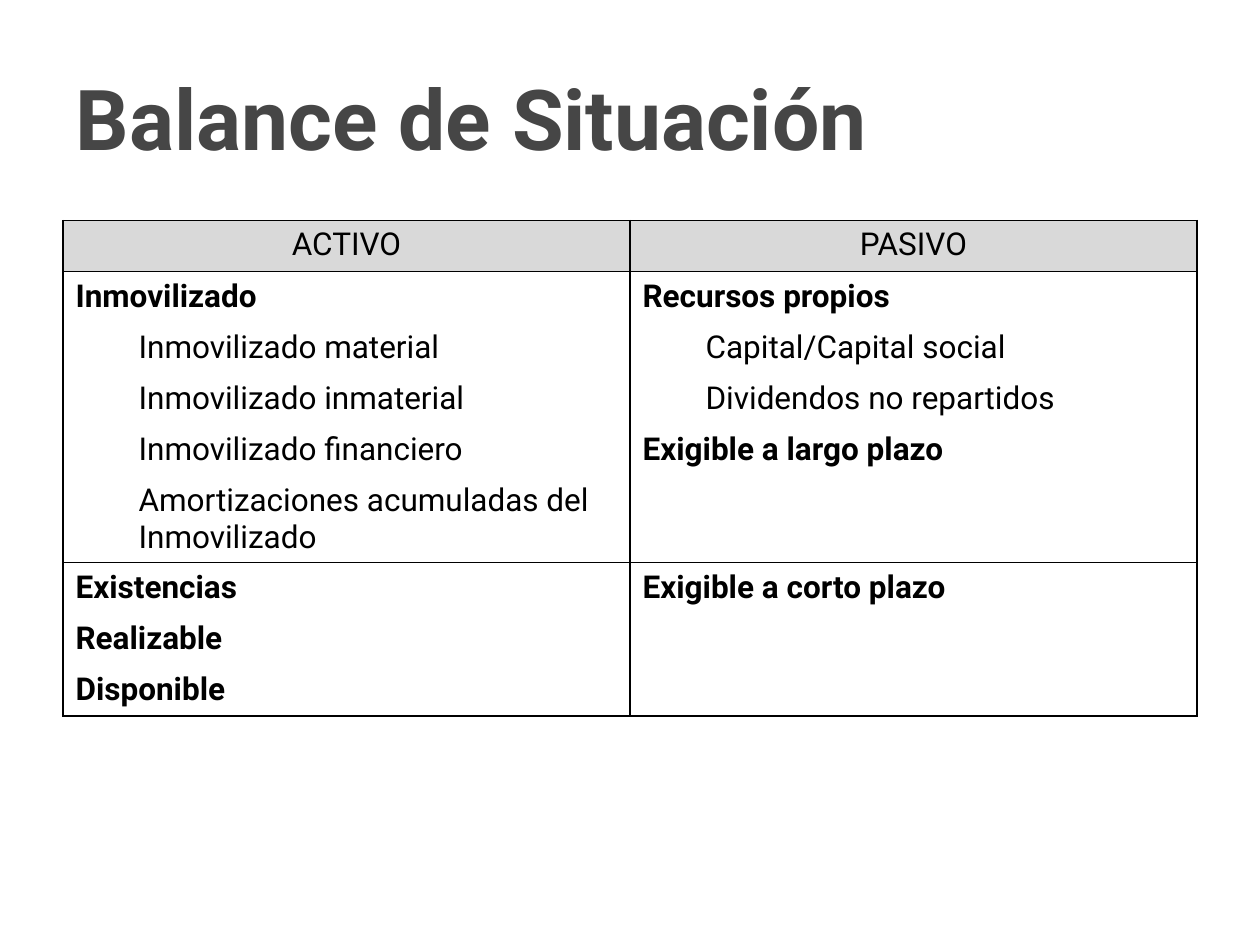
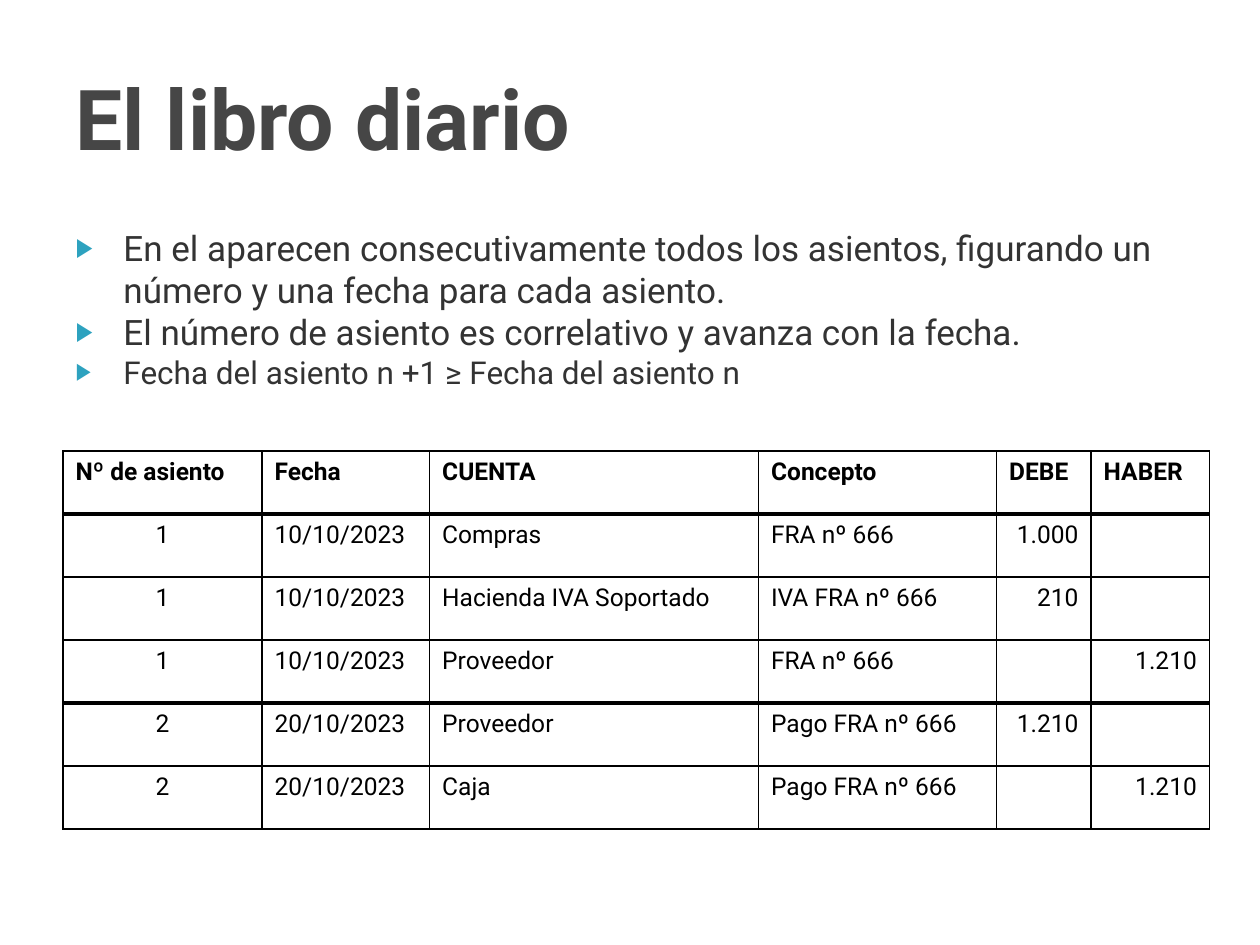
"""Build two accounting slides: the balance sheet and the journal."""
from dataclasses import dataclass
from typing import Optional

from lxml.etree import SubElement
from pptx import Presentation
from pptx.dml.color import RGBColor
from pptx.enum.text import MSO_ANCHOR as Anchor, MSO_AUTO_SIZE as AutoSize, PP_ALIGN as Align
from pptx.oxml.ns import qn
from pptx.util import Inches, Pt

COLORS = {
    "title": "464646",
    "body": "333333",
    "bullet": "2DA2BF",
    "black": "000000",
    "white": "FFFFFF",
    "header": "D9D9D9",
}
FONT = "Roboto"
LEFT, WIDTH, HANGING = 0.5, 9, 0.38
THIN, THICK = 1, 3
TITLE_LAYOUT, CONTENT_LAYOUT = 5, 1


@dataclass(frozen=True)
class Entry:
    text: str = ""
    bold: bool = False
    align: Align = Align.LEFT
    indent: float = 0
    fill: Optional[str] = None
    left: float = THIN
    right: float = THIN
    top: float = THIN
    bottom: float = THIN


@dataclass(frozen=True)
class Grid:
    top: float
    columns: tuple[float, ...]
    height: float
    size: float
    rows: list[list[Entry]]


@dataclass(frozen=True)
class Bullet:
    text: str
    size: float = 20


def write_text(paragraph, text: str, *, size: float, color: str, bold: bool = False,
               align: Align = Align.LEFT, indent: float = 0, hanging: float = 0) -> None:
    paragraph.alignment = align
    paragraph.space_before = Pt(0)
    properties = paragraph._p.get_or_add_pPr()
    properties.set("marL", str(Inches(indent)))
    properties.set("indent", str(-Inches(hanging)))
    font = paragraph.font
    if text:
        run = paragraph.add_run()
        run.text = text
        font = run.font
    font.name, font.size, font.bold = FONT, Pt(size), bold
    font.color.rgb = RGBColor.from_string(COLORS[color])


def place(shape, top: float, height: float) -> None:
    shape.left, shape.top = Inches(LEFT), Inches(top)
    shape.width, shape.height = Inches(WIDTH), Inches(height)
    shape.text_frame.auto_size = AutoSize.NONE


def add_titled_slide(presentation, title: str, layout: int):
    slide = presentation.slides.add_slide(presentation.slide_layouts[layout])
    shape = slide.shapes.title
    place(shape, 0.3, 1.25)
    shape.text_frame.vertical_anchor = Anchor.MIDDLE
    write_text(shape.text_frame.paragraphs[0], title, size=48, color="title", bold=True,
               indent=HANGING, hanging=HANGING)
    return slide


def add_bullets(slide, bullets: list[Bullet]) -> None:
    shape = slide.placeholders[1]
    place(shape, 1.75, 4.95)
    frame = shape.text_frame
    for index, bullet in enumerate(bullets):
        paragraph = frame.add_paragraph() if index else frame.paragraphs[0]
        write_text(paragraph, bullet.text, size=bullet.size, color="body",
                   indent=HANGING, hanging=HANGING)
        properties = paragraph._p.get_or_add_pPr()
        color = SubElement(properties, qn("a:buClr"))
        SubElement(color, qn("a:srgbClr"), val=COLORS["bullet"])
        SubElement(properties, qn("a:buSzPct"), val="75000")
        SubElement(properties, qn("a:buChar"), char="▶")


def set_borders(cell, entry: Entry) -> None:
    properties = cell._tc.get_or_add_tcPr()
    sides = {"a:lnL": entry.left, "a:lnR": entry.right,
             "a:lnT": entry.top, "a:lnB": entry.bottom}
    for tag, width in sides.items():
        line = SubElement(properties, qn(tag), w=str(Pt(width)))
        if width:
            fill = SubElement(line, qn("a:solidFill"))
            SubElement(fill, qn("a:srgbClr"), val=COLORS["black"])
        else:
            SubElement(line, qn("a:noFill"))


def add_grid(slide, grid: Grid) -> None:
    frame = slide.shapes.add_table(len(grid.rows), len(grid.columns), Inches(LEFT),
                                   Inches(grid.top), Inches(sum(grid.columns)),
                                   Inches(grid.height))
    table = frame.table
    table.first_row = table.horz_banding = False
    for column, width in zip(table.columns, grid.columns):
        column.width = Inches(width)
    for row, entries in zip(table.rows, grid.rows):
        for cell, entry in zip(row.cells, entries):
            write_text(cell.text_frame.paragraphs[0], entry.text, size=grid.size,
                       color="black", bold=entry.bold, align=entry.align,
                       indent=entry.indent)
            set_borders(cell, entry)
            if entry.fill:
                cell.fill.solid()
                cell.fill.fore_color.rgb = RGBColor.from_string(COLORS[entry.fill])
            else:
                cell.fill.background()


def balance_rows() -> list[list[Entry]]:
    group, item = {"bold": True}, {"indent": 0.5}
    sections = [
        [(("Inmovilizado", group), ("Recursos propios", group)),
         (("Inmovilizado material", item), ("Capital/Capital social", item)),
         (("Inmovilizado inmaterial", item), ("Dividendos no repartidos", item)),
         (("Inmovilizado financiero", item), ("Exigible a largo plazo", group)),
         (("Amortizaciones acumuladas del Inmovilizado", item), ("", {}))],
        [(("Existencias", group), ("Exigible a corto plazo", group)),
         (("Realizable", group), ("", {})),
         (("Disponible", group), ("", {}))],
    ]
    rows = [[Entry(name, align=Align.CENTER, fill="header") for name in ("ACTIVO", "PASIVO")]]
    for section in sections:
        last = len(section) - 1
        for index, pair in enumerate(section):
            top = THIN if index == 0 else 0
            bottom = THIN if index == last else 0
            rows.append([Entry(text, top=top, bottom=bottom, **style) for text, style in pair])
    return rows


def journal_rows() -> list[list[Entry]]:
    headings = ("Nº de asiento", "Fecha", "CUENTA", "Concepto", "DEBE", "HABER")
    records = [
        ("1", "10/10/2023", "Compras", "FRA nº 666", "1.000", ""),
        ("1", "10/10/2023", "Hacienda IVA Soportado", "IVA FRA nº 666", "210", ""),
        ("1", "10/10/2023", "Proveedor", "FRA nº 666", "", "1.210"),
        ("2", "20/10/2023", "Proveedor", "Pago FRA nº 666", "1.210", ""),
        ("2", "20/10/2023", "Caja", "Pago FRA nº 666", "", "1.210"),
    ]
    alignments = (Align.CENTER, *[Align.LEFT] * 3, *[Align.RIGHT] * 2)
    numbers = ["", *(record[0] for record in records)]
    rows = [[Entry(name, bold=True, fill="white", bottom=THICK) for name in headings]]
    for index, record in enumerate(records, start=1):
        following = numbers[index + 1] if index < len(records) else record[0]
        top = THICK if numbers[index - 1] != record[0] else THIN
        bottom = THICK if following != record[0] else THIN
        rows.append([Entry(text, align=align, fill="white", top=top, bottom=bottom)
                     for text, align in zip(record, alignments)])
    return rows


def main() -> None:
    presentation = Presentation()
    presentation.slide_width, presentation.slide_height = Inches(10), Inches(7.5)

    balance = add_titled_slide(presentation, "Balance de Situación", TITLE_LAYOUT)
    add_grid(balance, Grid(1.75, (4.5, 4.5), 3.65, 18, balance_rows()))

    journal = add_titled_slide(presentation, "El libro diario", CONTENT_LAYOUT)
    add_bullets(journal, [
        Bullet("En el aparecen consecutivamente todos los asientos, figurando un número "
               "y una fecha para cada asiento."),
        Bullet("El número de asiento es correlativo y avanza con la fecha."),
        Bullet("Fecha del asiento n +1 ≥ Fecha del asiento n", size=18),
    ])
    columns = (1.58, 1.33, 2.61, 1.89, 0.75, 0.94)
    add_grid(journal, Grid(3.58, columns, 3, 14, journal_rows()))

    presentation.save("out.pptx")


if __name__ == "__main__":
    main()
